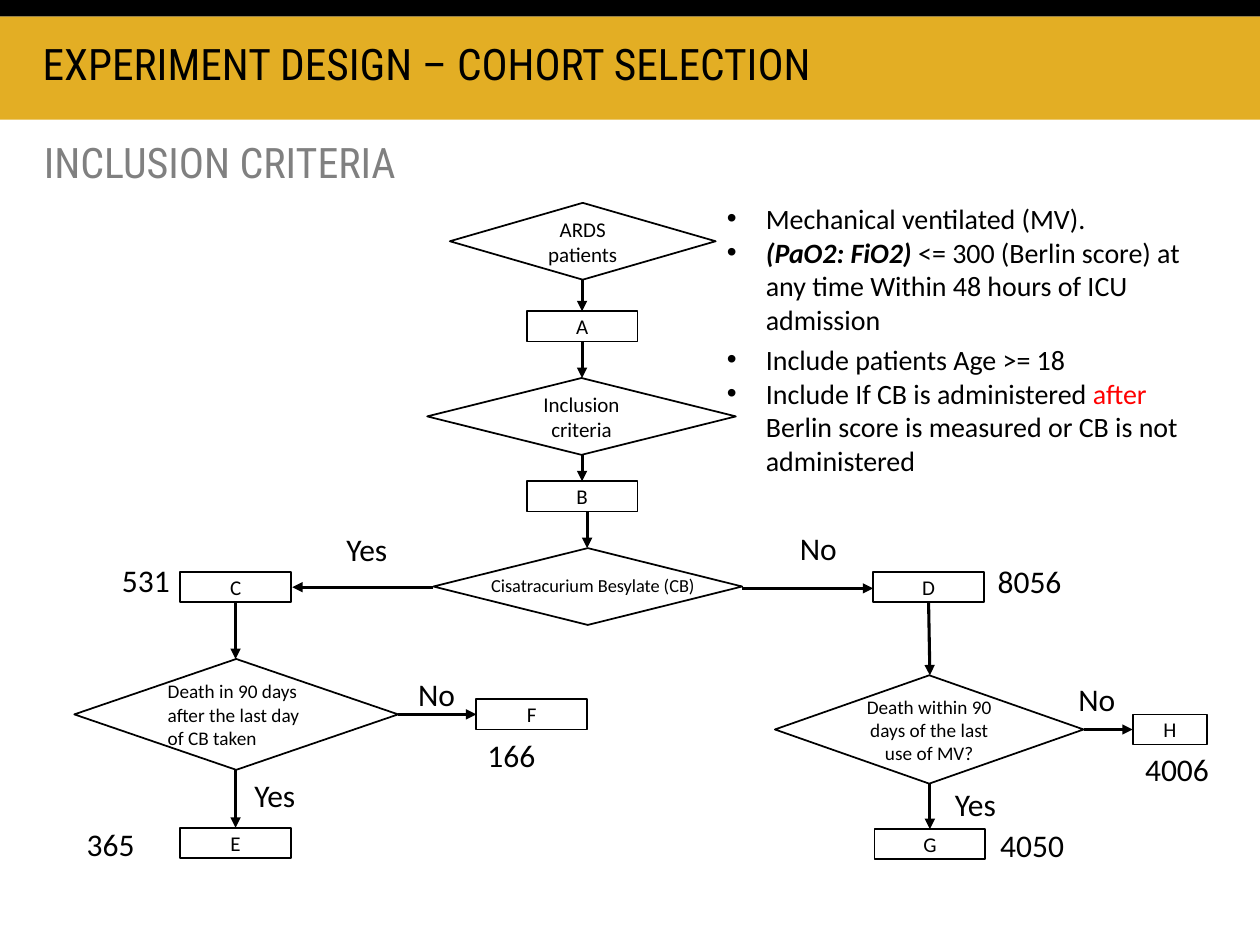
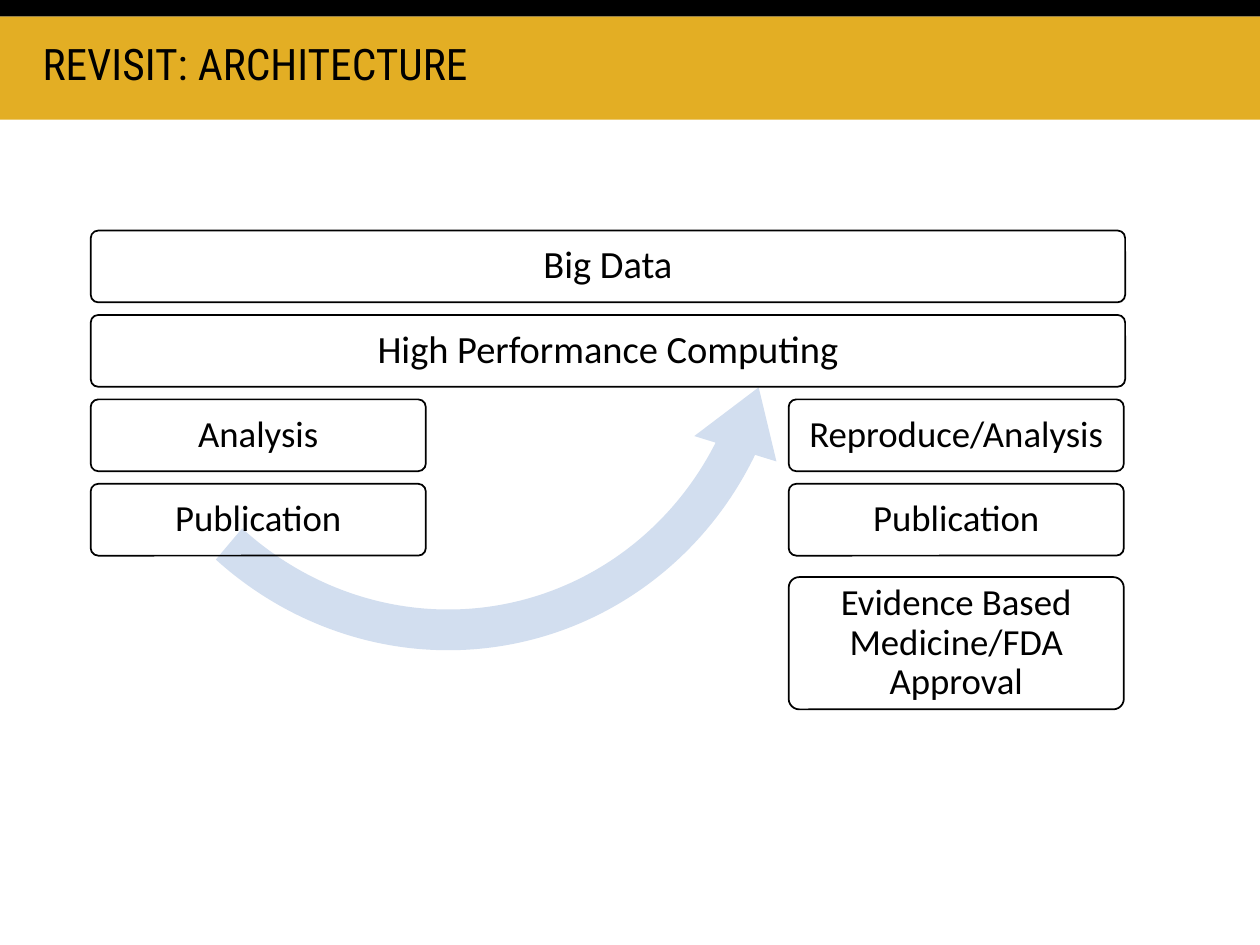
from lxml import etree
from pptx import Presentation
from pptx.dml.color import RGBColor
from pptx.enum.shapes import MSO_CONNECTOR, MSO_SHAPE
from pptx.enum.text import MSO_ANCHOR, MSO_AUTO_SIZE, PP_ALIGN
from pptx.oxml.ns import qn
from pptx.util import Inches, Pt

COLORS = {
    "ink": "000000",
    "gold": "E3AE24",
    "subtitle": "808080",
    "alert": "FF0000",
    "sweep": "D2DEEF",
}
BODY_FONT = "Calibri"
HEADING_FONT = "Roboto Condensed"
HEADING = {"space_before": Pt(10), "line_spacing": 0.9}
CENTERED = {"alignment": PP_ALIGN.CENTER}
LAYER = {"alignment": PP_ALIGN.CENTER, "line_spacing": 0.9}
BULLET_INDENT = Inches(0.31)
NODE_W, NODE_H = 0.88, 0.24


# Shared helpers
def color(name):
    return RGBColor.from_string(COLORS[name])


def apply_formats(target, formats):
    for attribute, value in formats.items():
        setattr(target, attribute, value)


def add_run(paragraph, text, size, ink="ink", name=BODY_FONT, **formats):
    run = paragraph.add_run()
    run.text = text
    apply_formats(run.font, {"size": Pt(size), "name": name, **formats})
    run.font.color.rgb = color(ink)


def add_outline(slide, preset, box, text="", size=12, formats=CENTERED, inset=None):
    outline = slide.shapes.add_shape(preset, *map(Inches, box))
    outline.shadow.inherit = False
    outline.fill.background()
    outline.line.color.rgb = color("ink")
    outline.line.width = Pt(1)
    if text:
        frame = outline.text_frame
        apply_formats(frame, {"word_wrap": True, "vertical_anchor": MSO_ANCHOR.MIDDLE})
        if inset:
            sides = ("left", "top", "right", "bottom")
            apply_formats(frame, {f"margin_{side}": Inches(inset) for side in sides})
        apply_formats(frame.paragraphs[0], formats)
        add_run(frame.paragraphs[0], text, size)
    return outline


def add_filled(slide, preset, box, fill):
    area = slide.shapes.add_shape(preset, *map(Inches, box))
    area.shadow.inherit = False
    area.fill.solid()
    area.fill.fore_color.rgb = color(fill)
    area.line.fill.background()
    return area


def add_frame(slide, box, grow=True):
    frame = slide.shapes.add_textbox(*map(Inches, box)).text_frame
    fit = MSO_AUTO_SIZE.SHAPE_TO_FIT_TEXT if grow else MSO_AUTO_SIZE.NONE
    apply_formats(frame, {"word_wrap": True, "auto_size": fit})
    return frame


def add_label(slide, box, text, size=18):
    add_run(add_frame(slide, box).paragraphs[0], text, size)


def add_heading(slide, box, text, size, ink="ink"):
    heading = add_frame(slide, box, grow=False).paragraphs[0]
    apply_formats(heading, HEADING)
    add_run(heading, text, size, ink, HEADING_FONT)


def add_criteria(slide, box, criteria):
    frame = add_frame(slide, box)
    for index, pieces in enumerate(criteria):
        criterion = frame.add_paragraph() if index else frame.paragraphs[0]
        properties = criterion._p.get_or_add_pPr()
        properties.set("marL", str(BULLET_INDENT))
        properties.set("indent", str(-BULLET_INDENT))
        etree.SubElement(properties, qn("a:buFont")).set("typeface", "Arial")
        etree.SubElement(properties, qn("a:buChar")).set("char", "•")
        for text, formats in pieces:
            add_run(criterion, text, 16, **formats)


def add_arrow(slide, start, end):
    arrow = slide.shapes.add_connector(MSO_CONNECTOR.STRAIGHT, *map(Inches, start + end))
    arrow.line.color.rgb = color("ink")
    arrow.line.width = Pt(1.75)
    etree.SubElement(arrow.line._get_or_add_ln(), qn("a:tailEnd")).set("type", "triangle")
    etree.SubElement(arrow._element.spPr, qn("a:effectLst"))


def add_titled_slide(deck, title):
    slide = deck.slides.add_slide(deck.slide_layouts[6])
    add_filled(slide, MSO_SHAPE.RECTANGLE, (0, 0.13, 10, 0.82), "gold")
    add_filled(slide, MSO_SHAPE.RECTANGLE, (0, 0, 10, 0.13), "ink")
    add_heading(slide, (0.24, 0.29, 8.96, 0.75), title, 24.8)
    return slide


# Slide 1: cohort flow chart
def build_cohort_slide(deck):
    slide = add_titled_slide(deck, "EXPERIMENT DESIGN – COHORT SELECTION")
    add_heading(slide, (0.25, 1.08, 8.92, 0.53), "INCLUSION CRITERIA", 24, "subtitle")

    # Decisions
    decisions = [
        ((3.57, 1.61, 2.11, 0.61), "ARDS patients", 12, CENTERED),
        ((3.39, 3, 2.45, 0.61), "Inclusion criteria", 12, CENTERED),
        ((3.44, 4.35, 2.45, 0.61), "", 12, CENTERED),
        ((0.59, 5.23, 2.57, 0.88), "Death in 90 days after the last day of CB taken",
         11, {"alignment": PP_ALIGN.LEFT}),
        ((6.15, 5.36, 2.45, 0.86), "Death within 90 days of the last use of MV?",
         11, CENTERED),
    ]
    for box, question, size, formats in decisions:
        add_outline(slide, MSO_SHAPE.FLOWCHART_DECISION, box, question, size, formats)
    add_label(slide, (3.8, 4.51, 2.29, 0.29), "Cisatracurium Besylate (CB)", 10.5)

    # Cohorts
    cohorts = {
        "A": (4.18, 2.47), "B": (4.18, 3.82), "C": (1.43, 4.54), "D": (6.93, 4.54),
        "E": (1.43, 6.57), "F": (3.78, 5.55), "G": (6.94, 6.58), "H": (8.99, 5.67),
    }
    for cohort, corner in cohorts.items():
        width = 0.59 if cohort == "H" else NODE_W
        add_outline(slide, MSO_SHAPE.RECTANGLE, (*corner, width, NODE_H), cohort)

    # Flow
    flow = [
        ((4.62, 2.22), (4.62, 2.47)), ((4.62, 2.71), (4.62, 3)),
        ((4.62, 3.61), (4.62, 3.82)), ((4.66, 4.06), (4.66, 4.35)),
        ((3.44, 4.66), (2.32, 4.66)), ((5.89, 4.67), (6.93, 4.67)),
        ((1.87, 4.78), (1.87, 5.23)), ((7.37, 4.78), (7.38, 5.36)),
        ((3.16, 5.67), (3.78, 5.67)), ((8.6, 5.79), (8.99, 5.79)),
        ((1.87, 6.11), (1.87, 6.57)), ((7.38, 6.22), (7.38, 6.58)),
    ]
    for start, end in flow:
        add_arrow(slide, start, end)

    # Answers and patient counts
    answers = [
        ("Yes", 2.65, 4.16), ("No", 6.25, 4.15), ("No", 3.22, 5.31),
        ("Yes", 1.92, 6.11), ("No", 8.46, 5.35), ("Yes", 7.48, 6.18),
    ]
    counts = [
        ("531", 0.87, 4.4), ("8056", 7.82, 4.41), ("365", 0.59, 6.5),
        ("166", 3.77, 5.79), ("4006", 8.99, 5.9), ("4050", 7.84, 6.51),
    ]
    for labels, height in ((answers, 0.22), (counts, 0.4)):
        for text, left, top in labels:
            add_label(slide, (left, top, 0.83, height), text)

    # Criteria
    add_criteria(slide, (5.67, 1.55, 4.11, 1.18), [
        [("Mechanical ventilated (MV).", {})],
        [("(PaO2: FiO2)", {"bold": True, "italic": True}),
         (" <= 300 (Berlin score) at any time Within 48 hours of ICU admission", {})],
    ])
    add_criteria(slide, (5.67, 2.67, 3.82, 1.18), [
        [("Include patients Age >= 18", {})],
        [("Include If CB is administered ", {}), ("after", {"ink": "alert"}),
         (" Berlin score is measured or CB is not administered", {})],
    ])


# Slide 2: layered architecture
def build_architecture_slide(deck):
    slide = add_titled_slide(deck, "REVISIT: ARCHITECTURE")

    # Sweep from the first publication back to the computing layer
    sweep = add_filled(slide, MSO_SHAPE.CIRCULAR_ARROW, (0.47, -0.64, 6.09, 5.88), "sweep")
    for index, value in enumerate((0.055, 6.817, 137.676, 76.75, 0.058)):
        sweep.adjustments[index] = value
    sweep.rotation = 258
    sweep._element.spPr.find(qn("a:xfrm")).set("flipV", "1")

    # Layers: left, width, row, text
    left, right, full, narrow = 0.72, 6.26, 8.21, 2.66
    first_top, pitch, height = 1.83, 0.67, 0.57
    layers = [
        (left, full, 0, "Big Data"),
        (left, full, 1, "High Performance Computing"),
        (left, narrow, 2, "Analysis"),
        (left, narrow, 3, "Publication"),
        (right, narrow, 2, "Reproduce/Analysis"),
        (right, narrow, 3, "Publication"),
    ]
    boxes = [((x, first_top + row * pitch, width, height), text)
             for x, width, row, text in layers]
    boxes.append(((right, 4.58, narrow, 1.05), "Evidence Based Medicine/FDA Approval"))
    for box, text in boxes:
        size, inset = (22, 0.11) if box[2] == full else (21, 0.1)
        layer = add_outline(slide, MSO_SHAPE.ROUNDED_RECTANGLE, box, text, size, LAYER, inset)
        layer.adjustments[0] = 0.06 / height if box[3] == height else 0.08


def main():
    deck = Presentation()
    deck.slide_width, deck.slide_height = Inches(10), Inches(7.5)
    build_cohort_slide(deck)
    build_architecture_slide(deck)
    deck.save("out.pptx")


if __name__ == "__main__":
    main()
